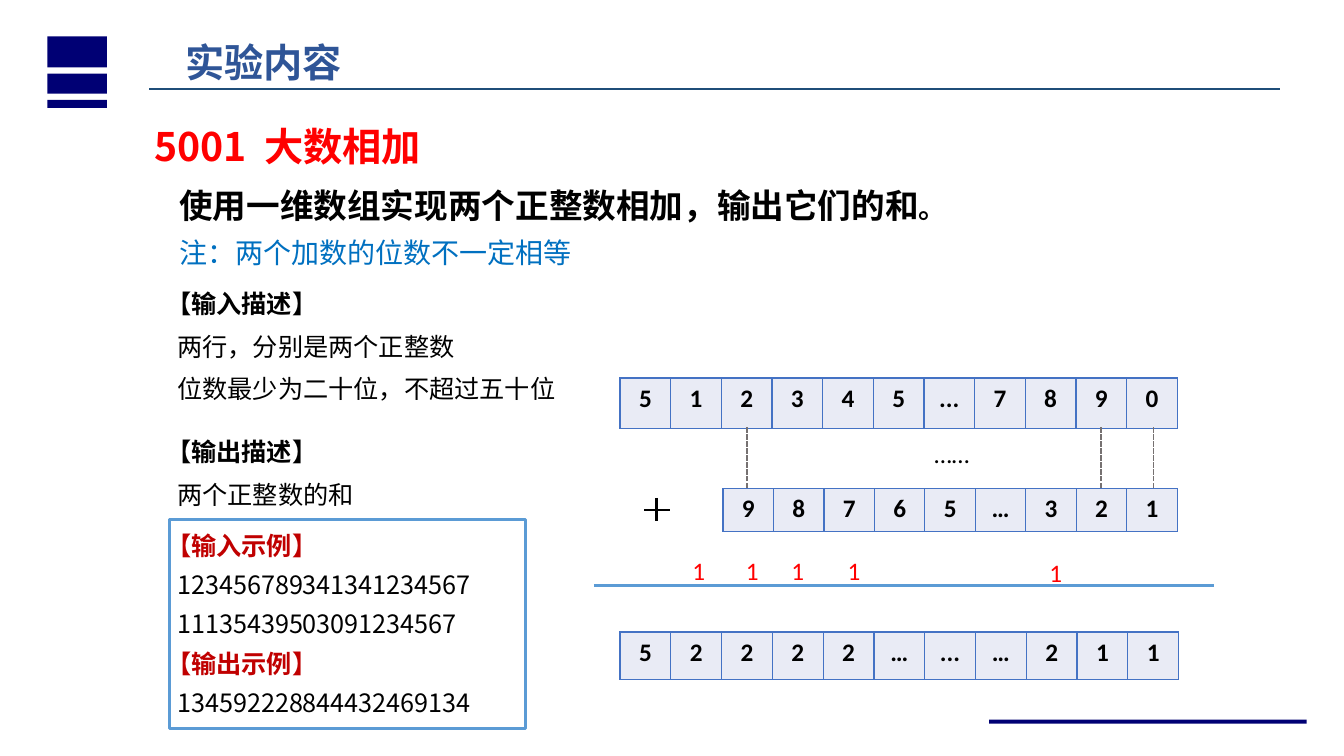
"""Build the slide that explains adding two long integers with arrays."""
from dataclasses import dataclass
from typing import Optional

from lxml.etree import SubElement
from pptx import Presentation
from pptx.dml.color import RGBColor
from pptx.enum.dml import MSO_LINE_DASH_STYLE as Dash
from pptx.enum.shapes import MSO_CONNECTOR as Connector, MSO_SHAPE as Preset
from pptx.enum.text import MSO_ANCHOR as Anchor, MSO_AUTO_SIZE as AutoSize, PP_ALIGN as Align
from pptx.oxml.ns import qn
from pptx.util import Inches, Pt


@dataclass(frozen=True)
class Theme:
    """Colours, fonts and type sizes."""
    navy: str = "000074"
    title: str = "2F5597"
    rule: str = "1F4E79"
    red: str = "FF0000"
    dark_red: str = "C00000"
    note: str = "0070C0"
    black: str = "000000"
    sum_line: str = "5B9BD5"
    border: str = "4472C4"
    cell: str = "E9EBF5"
    dash: str = "767171"
    chinese: str = "Noto Sans CJK SC"
    digits: str = "Calibri"
    heading: int = 28
    task: int = 24
    remark: int = 20
    body: int = 18


@dataclass(frozen=True)
class Box:
    """A place on a grid with cells of a tenth of an inch."""
    column: float
    row: float
    columns: float
    rows: float

    def place(self) -> tuple:
        return tuple(map(grid, (self.column, self.row, self.columns, self.rows)))


@dataclass(frozen=True)
class Words:
    """One run of text."""
    text: str
    size: int
    color: str = "000000"
    bold: bool = False
    font: str = "Noto Sans CJK SC"
    tracking: float = 0


@dataclass(frozen=True)
class Line:
    """One paragraph with its line height and gap in points."""
    runs: tuple
    height: Optional[float] = None
    before: float = 0
    indent: float = 0


@dataclass(frozen=True)
class Stroke:
    """A straight line between two grid points."""
    start: tuple
    end: tuple
    color: str
    width: float
    dash: Optional[Dash] = None


@dataclass(frozen=True)
class DigitRow:
    """A one-row table of digits."""
    box: Box
    digits: str


THEME = Theme()
BARS = (Box(4.7, 3.6, 5.9, 3.1), Box(4.7, 7.3, 5.9, 2), Box(4.7, 9.9, 5.9, 0.8),
        Box(98.1, 71.4, 31.5, 0.4))
DIGIT_ROWS = (DigitRow(Box(61.5, 37.5, 55.3, 5), "5 1 2 3 4 5 ... 7 8 9 0"),
              DigitRow(Box(71.7, 48.5, 45.1, 4.2), "9 8 7 6 5 … 3 2 1"),
              DigitRow(Box(61.5, 62.7, 55.4, 4.7), "5 2 2 2 2 … ... … 2 1 1"))
STROKES = (Stroke((14.8, 8.8), (127, 8.8), THEME.rule, 1.25),
           Stroke((63.9, 50.6), (66.5, 50.6), THEME.black, 2),
           Stroke((65.1, 49.4), (65.1, 51.7), THEME.black, 2),
           Stroke((58.9, 58.1), (120.4, 58.1), THEME.sum_line, 2),
           *(Stroke((column, 42.4), (column, 48.5), THEME.dash, 1.25, Dash.SQUARE_DOT)
             for column in (74.1, 109.2, 114.4)))
CARRIES = ((67.7, 54.6), (73, 54.6), (77.5, 54.6), (83.1, 54.6), (103.1, 54.8))
DESCRIPTION_HEIGHT, EXAMPLE_HEIGHT = 30.4, 28.1


def grid(cells: float) -> int:
    return Inches(cells / 10)


def rgb(color: str) -> RGBColor:
    return RGBColor.from_string(color)


def add_run(paragraph, words: Words) -> None:
    run = paragraph.add_run()
    run.text = words.text
    font = run.font
    font.size, font.bold, font.name = Pt(words.size), words.bold, words.font
    font.color.rgb = rgb(words.color)
    properties = run._r.get_or_add_rPr()
    SubElement(properties, qn("a:ea")).set("typeface", words.font)
    if words.tracking:
        properties.set("spc", str(round(words.tracking * 100)))


def write(frame, lines: tuple) -> None:
    frame.word_wrap, frame.auto_size = True, AutoSize.NONE
    frame.vertical_anchor = Anchor.TOP
    for index, line in enumerate(lines):
        paragraph = frame.add_paragraph() if index else frame.paragraphs[0]
        paragraph.alignment = Align.LEFT
        paragraph.space_before = Pt(line.before)
        if line.height:
            paragraph.line_spacing = Pt(line.height)
        if line.indent:
            paragraph._p.get_or_add_pPr().set("marL", str(grid(line.indent)))
        for words in line.runs:
            add_run(paragraph, words)


def add_text(slide, box: Box, *lines: Line) -> None:
    write(slide.shapes.add_textbox(*box.place()).text_frame, lines)


def add_rectangle(slide, box: Box):
    shape = slide.shapes.add_shape(Preset.RECTANGLE, *box.place())
    shape.shadow.inherit = False
    return shape


def add_stroke(slide, stroke: Stroke) -> None:
    ends = map(grid, (*stroke.start, *stroke.end))
    connector = slide.shapes.add_connector(Connector.STRAIGHT, *ends)
    connector.line.color.rgb, connector.line.width = rgb(stroke.color), Pt(stroke.width)
    if stroke.dash:
        connector.line.dash_style = stroke.dash
    SubElement(connector._element.spPr, qn("a:effectLst"))


def add_digits(slide, row: DigitRow) -> None:
    digits = row.digits.split()
    table = slide.shapes.add_table(1, len(digits), *row.box.place()).table
    table.first_row = table.horz_banding = False
    for index, digit in enumerate(digits):
        table.columns[index].width = grid(row.box.columns / len(digits))
        cell = table.cell(0, index)
        properties = cell._tc.get_or_add_tcPr()
        for side in ("lnL", "lnR", "lnT", "lnB"):
            border = SubElement(properties, qn(f"a:{side}"), w=str(Pt(1)))
            fill = SubElement(border, qn("a:solidFill"))
            SubElement(fill, qn("a:srgbClr"), val=THEME.border)
        cell.fill.solid()
        cell.fill.fore_color.rgb = rgb(THEME.cell)
        paragraph = cell.text_frame.paragraphs[0]
        paragraph.alignment = Align.CENTER
        add_run(paragraph, Words(digit, THEME.body, bold=True, font=THEME.digits))


def label(text: str, height: float, color: str = THEME.black, before: float = 0) -> Line:
    return Line((Words(text, THEME.body, color, True),), height, before)


def detail(text: str, height: float) -> Line:
    return Line((Words(text, THEME.body),), height, indent=1.1)


def main() -> None:
    presentation = Presentation()
    presentation.slide_width, presentation.slide_height = Inches(13.33), Inches(7.5)
    slide = presentation.slides.add_slide(presentation.slide_layouts[5])

    title = slide.shapes.title
    title.left, title.top, title.width, title.height = Box(17.4, 2.9, 54.9, 5.7).place()
    write(title.text_frame, (Line((Words("实验内容", THEME.heading, THEME.title, True),), 36.4),))
    for bar in BARS:
        shape = add_rectangle(slide, bar)
        shape.fill.solid()
        shape.fill.fore_color.rgb = rgb(THEME.navy)
        shape.line.fill.background()

    add_text(slide, Box(16.8, 16.4, 105.2, 10.6),
             Line((Words("使用一维数组实现两个正整数相加，输出它们的和", THEME.task, bold=True),
                   Words("。", THEME.remark, bold=True)), 39.6),
             Line((Words("注：两个加数的位数不一定相等", THEME.remark, THEME.note),), 31.2))
    add_text(slide, Box(14.3, 9, 35.6, 12.8),
             Line((Words("5001", THEME.heading, THEME.red, True),
                   Words(" ", THEME.heading, THEME.red, True, tracking=6.4),
                   Words("大数相加", THEME.heading, THEME.red, True)), 52.5))

    for row in DIGIT_ROWS:
        add_digits(slide, row)
    for stroke in STROKES:
        add_stroke(slide, stroke)
    add_text(slide, Box(91.7, 43, 21.4, 4),
             Line((Words("……", THEME.body, font=THEME.digits),)))
    for column, row in CARRIES:
        add_text(slide, Box(column, row, 3.6, 4),
                 Line((Words("1", THEME.body, THEME.red, font=THEME.digits),)))

    add_text(slide, Box(15.5, 26.9, 66.4, 47),
             label("【输入描述】", DESCRIPTION_HEIGHT),
             detail("两行，分别是两个正整数", DESCRIPTION_HEIGHT),
             detail("位数最少为二十位，不超过五十位", DESCRIPTION_HEIGHT),
             label("【输出描述】", DESCRIPTION_HEIGHT, before=14.6),
             detail("两个正整数的和", DESCRIPTION_HEIGHT),
             label("【输入示例】", EXAMPLE_HEIGHT, THEME.dark_red, 8.4),
             detail("123456789341341234567", EXAMPLE_HEIGHT),
             detail("11135439503091234567", EXAMPLE_HEIGHT),
             label("【输出示例】", EXAMPLE_HEIGHT, THEME.dark_red),
             detail("134592228844432469134", EXAMPLE_HEIGHT))
    frame = add_rectangle(slide, Box(16.8, 51.5, 35.3, 20.8))
    frame.fill.background()
    frame.line.color.rgb, frame.line.width = rgb(THEME.sum_line), Pt(2)
    presentation.save("out.pptx")


if __name__ == "__main__":
    main()
